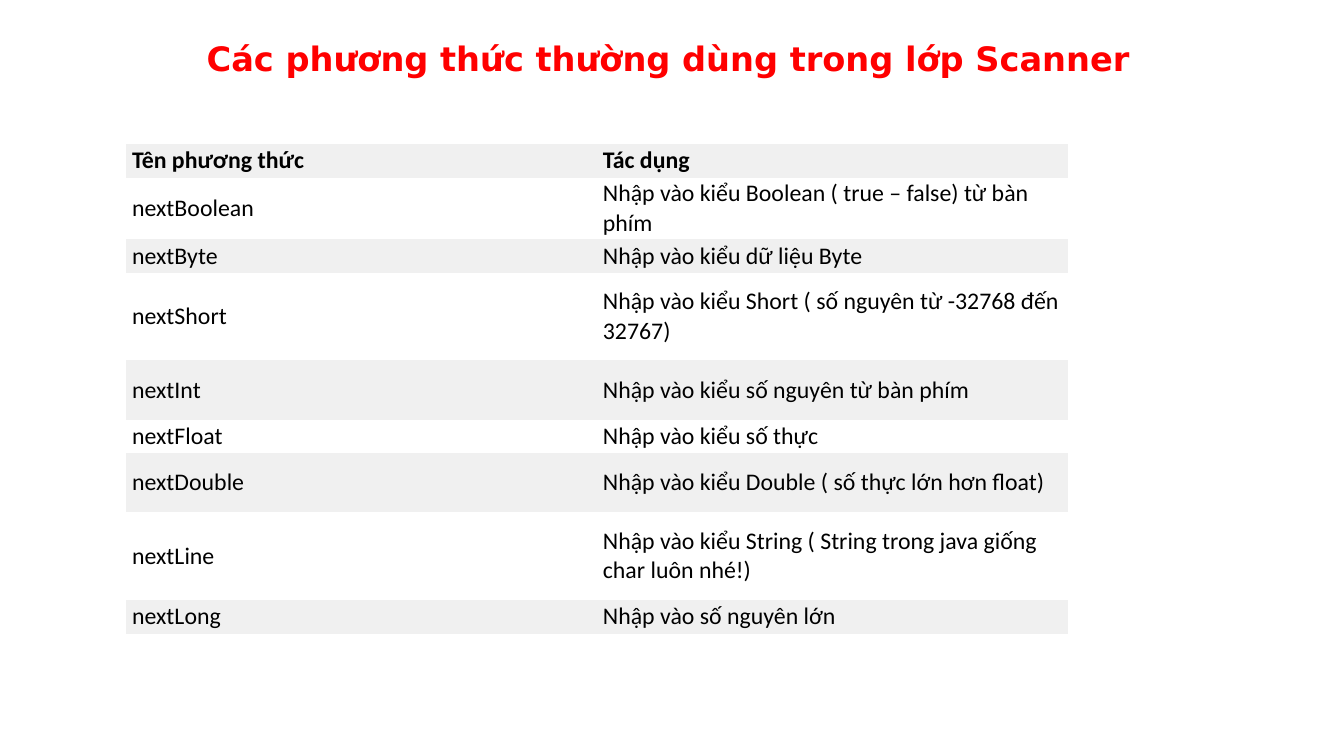
from lxml.etree import SubElement
from pptx import Presentation
from pptx.dml.color import RGBColor
from pptx.enum.text import MSO_ANCHOR, PP_ALIGN
from pptx.oxml.ns import qn
from pptx.util import Inches, Pt

# Content: method, effect, row height in inches
TITLE = "Các phương thức thường dùng trong lớp Scanner"
ROWS = [
    ("Tên phương thức", "Tác dụng", 0.31),
    ("nextBoolean", "Nhập vào kiểu Boolean ( true – false) từ bàn phím", 0.59),
    ("nextByte", "Nhập vào kiểu dữ liệu Byte", 0.31),
    ("nextShort", "Nhập vào kiểu Short ( số nguyên từ -32768 đến 32767)", 0.87),
    ("nextInt", "Nhập vào kiểu số nguyên từ bàn phím", 0.59),
    ("nextFloat", "Nhập vào kiểu số thực", 0.31),
    ("nextDouble", "Nhập vào kiểu Double ( số thực lớn hơn float)", 0.59),
    ("nextLine", "Nhập vào kiểu String ( String trong java giống char luôn nhé!)", 0.87),
    ("nextLong", "Nhập vào số nguyên lớn", 0.31),
]
COL_WIDTH = 4.67
NO_STYLE = "{2D5ABB26-0587-4C30-8999-92F81FD0307C}"

RED = RGBColor(0xFF, 0x00, 0x00)
BLACK = RGBColor(0x00, 0x00, 0x00)
WHITE = RGBColor(0xFF, 0xFF, 0xFF)
GRAY = RGBColor(0xF0, 0xF0, 0xF0)


def format_run(r, font, size, color, bold):
    r.font.name = font
    r.font.size = Pt(size)
    r.font.color.rgb = color
    r.font.bold = bold


def add_border(cell, side):
    ln = SubElement(cell._tc.get_or_add_tcPr(), qn(f"a:{side}"), w=str(Pt(0.6)))
    SubElement(SubElement(ln, qn("a:solidFill")), qn("a:srgbClr"), val=str(GRAY))


prs = Presentation()
prs.slide_width, prs.slide_height = Inches(13.33), Inches(7.5)
slide = prs.slides.add_slide(prs.slide_layouts[5])

# Title
title = slide.shapes.title
title.left, title.top = Inches(1.95), Inches(0.33)
title.width, title.height = Inches(9.44), Inches(0.5)
tf = title.text_frame
tf.text = TITLE
tf.vertical_anchor = MSO_ANCHOR.MIDDLE
p = tf.paragraphs[0]
p.alignment = PP_ALIGN.LEFT
format_run(p.runs[0], "DejaVu Sans", 24, RED, True)

# Method table
height = sum(row[-1] for row in ROWS)
table = slide.shapes.add_table(
    len(ROWS), 2, Inches(1.25), Inches(1.43),
    Inches(2 * COL_WIDTH), Inches(height)).table
table._tbl.tblPr.find(qn("a:tableStyleId")).text = NO_STYLE
table.horz_banding = False
for col in table.columns:
    col.width = Inches(COL_WIDTH)

for i, (method, effect, row_height) in enumerate(ROWS):
    table.rows[i].height = Inches(row_height)
    for j, text in enumerate((method, effect)):
        cell = table.cell(i, j)
        cell.text = text
        cell.vertical_anchor = MSO_ANCHOR.MIDDLE
        cell.margin_left = cell.margin_right = Inches(0.06)
        cell.margin_top = cell.margin_bottom = Inches(0.02)
        format_run(cell.text_frame.paragraphs[0].runs[0],
                   "Calibri", 17, BLACK, i == 0)
        # Lines above and below the header and below the last row
        if i == 0:
            add_border(cell, "lnT")
        if i in (0, len(ROWS) - 1):
            add_border(cell, "lnB")
        cell.fill.solid()
        cell.fill.fore_color.rgb = WHITE if i % 2 else GRAY

prs.save("out.pptx")
